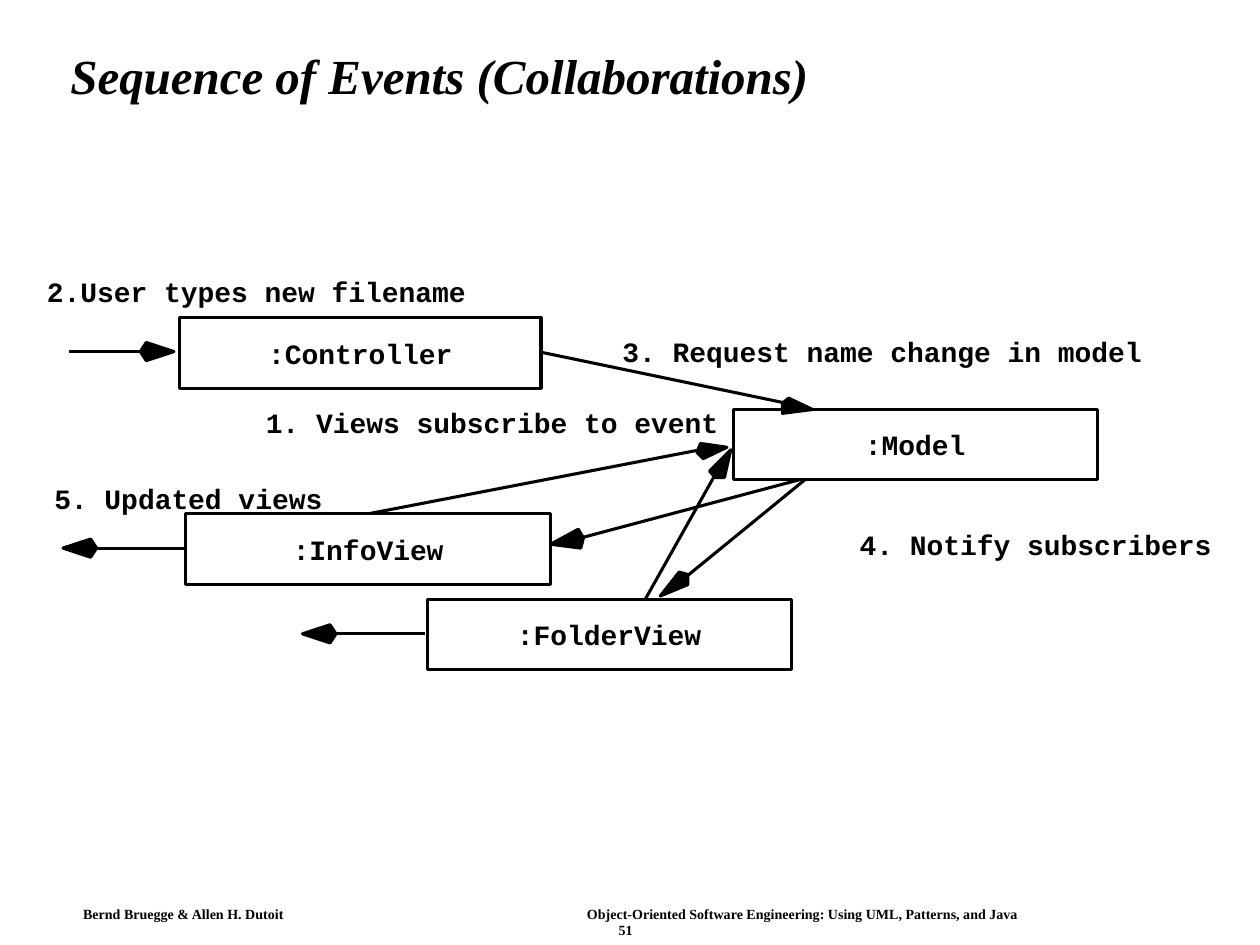
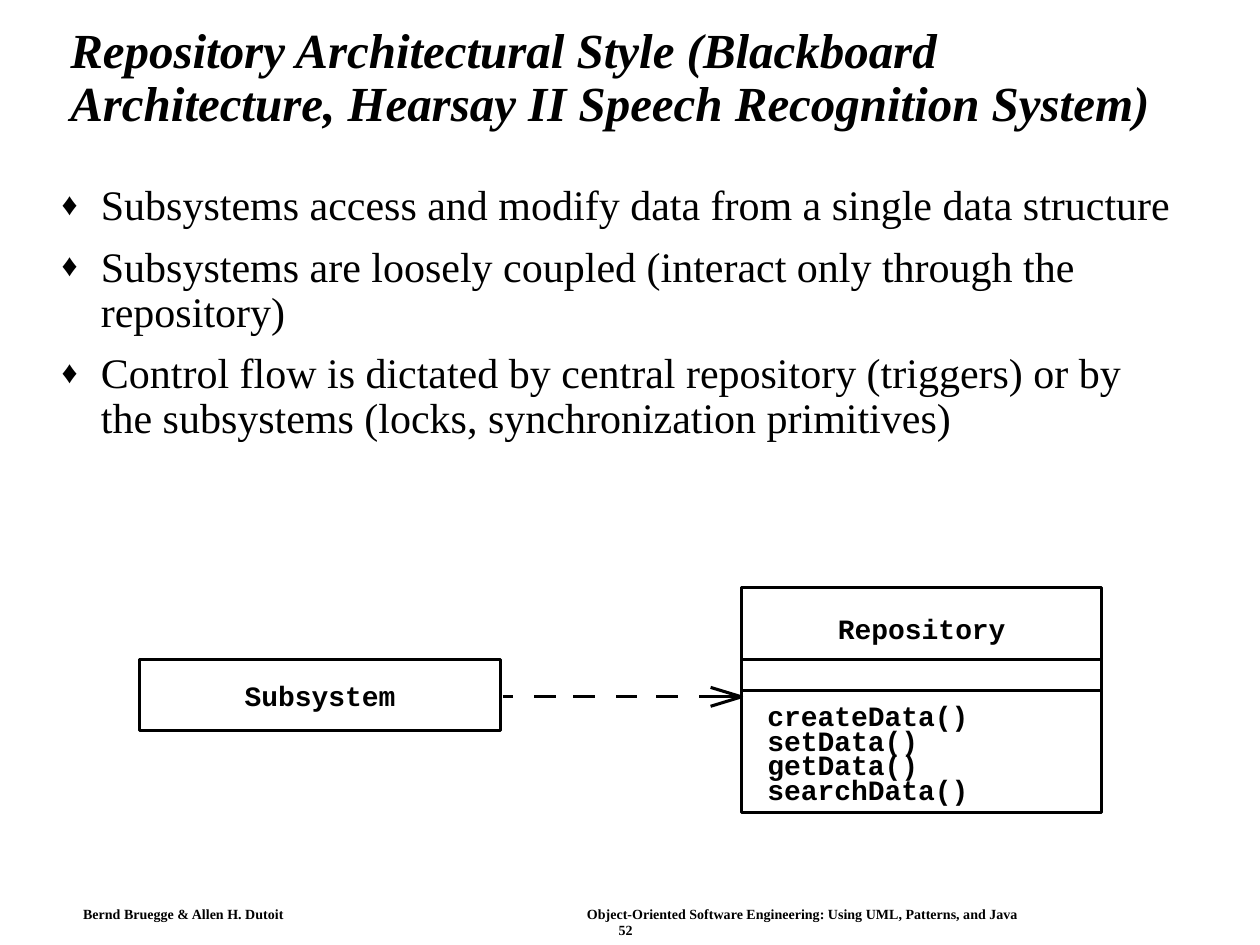
from pptx import Presentation
from pptx.dml.color import RGBColor
from pptx.enum.shapes import MSO_CONNECTOR, MSO_SHAPE
from pptx.enum.text import MSO_ANCHOR, PP_ALIGN
from pptx.oxml.ns import qn
from pptx.util import Pt
from lxml.etree import SubElement

BLACK, WHITE = "000000", "FFFFFF"
SERIF, MONO = "Times New Roman", "Courier New"


def color(code):
    return RGBColor.from_string(code)


def bullet(para):
    props = para._p.get_or_add_pPr()
    props.set("marL", str(Pt(22.5)))
    props.set("indent", str(-Pt(22.5)))
    tint = SubElement(props, qn("a:buClr"))
    SubElement(tint, qn("a:srgbClr"), val=BLACK)
    SubElement(props, qn("a:buSzPct"), val="75000")
    SubElement(props, qn("a:buFont"), typeface=SERIF)
    SubElement(props, qn("a:buChar"), char="♦")


def write(frame, text, size=16, face=MONO, bold=True, slant=False, align=PP_ALIGN.LEFT,
          anchor=MSO_ANCHOR.TOP, wrap=False, pad=(0, 0), drop=0, space=None, gap=0, marks=False):
    frame.word_wrap = wrap
    frame.vertical_anchor = anchor
    frame.margin_left = frame.margin_right = Pt(pad[0])
    frame.margin_top, frame.margin_bottom = Pt(pad[1] + drop), Pt(pad[1])
    for num, line in enumerate(text.split("\n")):
        para = frame.add_paragraph() if num else frame.paragraphs[0]
        if marks:
            bullet(para)
        para.alignment = align
        if space:
            para.line_spacing = space
        if num and gap:
            para.space_before = Pt(gap)
        run = para.add_run()
        run.text = line
        font = run.font
        font.size, font.name, font.bold, font.italic = Pt(size), face, bold, slant
        font.color.rgb = color(BLACK)


class Deck:
    weight = 1.75

    def __init__(self):
        self.show = Presentation()
        self.show.slide_width, self.show.slide_height = Pt(720), Pt(540)

    def start(self, title, page):
        self.slide = self.show.slides.add_slide(self.show.slide_layouts[6])
        back = self.slide.background.fill
        back.solid()
        back.fore_color.rgb = color(WHITE)
        foot = [
            (47.5, 517.7, 130, "Bernd Bruegge & Allen H. Dutoit"),
            (335.4, 517.7, 270, "Object-Oriented Software Engineering: Using UML, Patterns, and Java"),
            (353.5, 526.7, 20, str(page)),
        ]
        for left, top, width, words in foot:
            self.text(left, top, width, 9.2, words, size=8, face=SERIF, wrap=True)
        self.text(33.1, 17.3, 642.2, 55.4, title, size=28, face=SERIF, slant=True,
                  anchor=MSO_ANCHOR.MIDDLE, wrap=True, pad=(7.2, 3.6), space=0.9)

    def text(self, left, top, width, height, words, **style):
        area = self.slide.shapes.add_textbox(Pt(left), Pt(top), Pt(width), Pt(height))
        write(area.text_frame, words, **style)

    def label(self, left, top, words):
        self.text(left, top, 9.6 * len(words), 19.4, words)

    def ink(self, shape, fill=None):
        shape.shadow.inherit = False
        if fill:
            shape.fill.solid()
            shape.fill.fore_color.rgb = color(fill)
        else:
            shape.fill.background()
        shape.line.color.rgb = color(BLACK)
        shape.line.width = Pt(self.weight)

    def box(self, left, top, width, height=40.3, words="", drop=0):
        shape = self.slide.shapes.add_shape(
            MSO_SHAPE.RECTANGLE, Pt(left), Pt(top), Pt(width), Pt(height))
        self.ink(shape, WHITE)
        if words:
            write(shape.text_frame, words, align=PP_ALIGN.CENTER,
                  anchor=MSO_ANCHOR.MIDDLE, drop=drop)

    def line(self, x, y, end, low):
        link = self.slide.shapes.add_connector(
            MSO_CONNECTOR.STRAIGHT, Pt(x), Pt(y), Pt(end), Pt(low))
        link.line.color.rgb = color(BLACK)
        link.line.width = Pt(self.weight)
        SubElement(link._element.spPr, qn("a:effectLst"))

    def form(self, *dots, fill=BLACK, close=True):
        dots = [(Pt(x), Pt(y)) for x, y in dots]
        pen = self.slide.shapes.build_freeform(*dots[0])
        pen.add_line_segments(dots[1:], close=close)
        self.ink(pen.convert_to_shape(), fill)

    def head(self, tip, y, way):
        side, tail = tip - 15.8 * way, tip - 19.2 * way
        self.form((tail, y), (side, y - 5.2), (tip, y), (side, y + 5.2))


def events(deck):
    deck.start("Sequence of Events (Collaborations)", 51)
    lines = [
        (307.4, 200.9, 449.3, 230.4),
        (461.5, 272.9, 331.9, 307.4),
        (461.5, 272.9, 391, 330.5),
        (368.6, 342.7, 409, 270.7),
        (209.5, 293.8, 400.3, 257),
        (106.6, 313.2, 54, 313.2),
        (39.6, 200.9, 82.1, 200.9),
        (242.6, 362.2, 190.1, 362.2),
    ]
    for ends in lines:
        deck.line(*ends)
    boxes = [
        (102.6, 181.7, 206.6, ":Controller"),
        (106.2, 293.5, 208.4, ":InfoView"),
        (419, 234, 208, ":Model"),
        (244.1, 342.5, 208, ":FolderView"),
    ]
    for left, top, width, name in boxes:
        deck.box(left, top, width, words=name)
    for tip, y, way in [(99.4, 200.9, 1), (36, 313.2, -1), (172.8, 362.2, -1)]:
        deck.head(tip, y, way)
    heads = [
        ((409, 272.9), (405.4, 269.3), (417.6, 257), (414, 272.9)),
        ((398.2, 258.5), (400.3, 253.4), (415.4, 255.6), (401.8, 262.1)),
        ((447.1, 230.4), (450.7, 227.5), (464.4, 234), (447.1, 236.2)),
        ((333.4, 307.4), (331.9, 313.2), (314.6, 311), (330.5, 302.4)),
        ((393.1, 328.3), (393.1, 334.1), (377.3, 340.6), (388.1, 326.9)),
    ]
    for dots in heads:
        deck.form(*dots)
    notes = [
        (26.8, 157, "2.User types new filename"),
        (151.9, 231.8, "1. Views subscribe to event"),
        (355.7, 191.2, "3. Request name change in model"),
        (491.3, 301.7, "4. Notify subscribers"),
        (31, 275, "5. Updated views"),
    ]
    for note in notes:
        deck.label(*note)


def store(deck):
    deck.start("Repository Architectural Style (Blackboard Architecture, "
               "Hearsay II Speech Recognition System)", 52)
    points = [
        "Subsystems access and modify data from a single data structure",
        "Subsystems are loosely coupled (interact only through the repository)",
        "Control flow is dictated by central repository (triggers) or by the subsystems "
        "(locks, synchronization primitives)",
    ]
    deck.text(28.1, 102, 650.2, 387.4, "\n".join(points), size=24, face=SERIF, bold=False,
              wrap=True, pad=(7.2, 3.6), space=0.9, gap=9, marks=True)
    left, width, mid = 423.8, 205.9, 398.2
    deck.box(79.9, 377, width, words="Subsystem")
    deck.box(left, 336, width, 40.7, words="Repository", drop=5)
    deck.box(left, 394.6, width, 69.8)
    deck.box(left, 376.7, width, 17.9)
    for num, call in enumerate(["createData()", "setData()", "getData()", "searchData()"]):
        deck.label(438.5, 399.4 + 13.95 * num, call)
    dashes = [(287.3, 293), (305.3, 317.5), (327.6, 339.8),
              (352.1, 364.3), (375.1, 387.4), (399.6, left)]
    for x, end in dashes:
        deck.line(x, mid, end, mid)
    deck.form((406.1, mid - 5.4), (left, mid), (406.1, mid + 5.4), fill=None, close=False)


def main():
    deck = Deck()
    events(deck)
    store(deck)
    deck.show.save("out.pptx")


if __name__ == "__main__":
    main()
